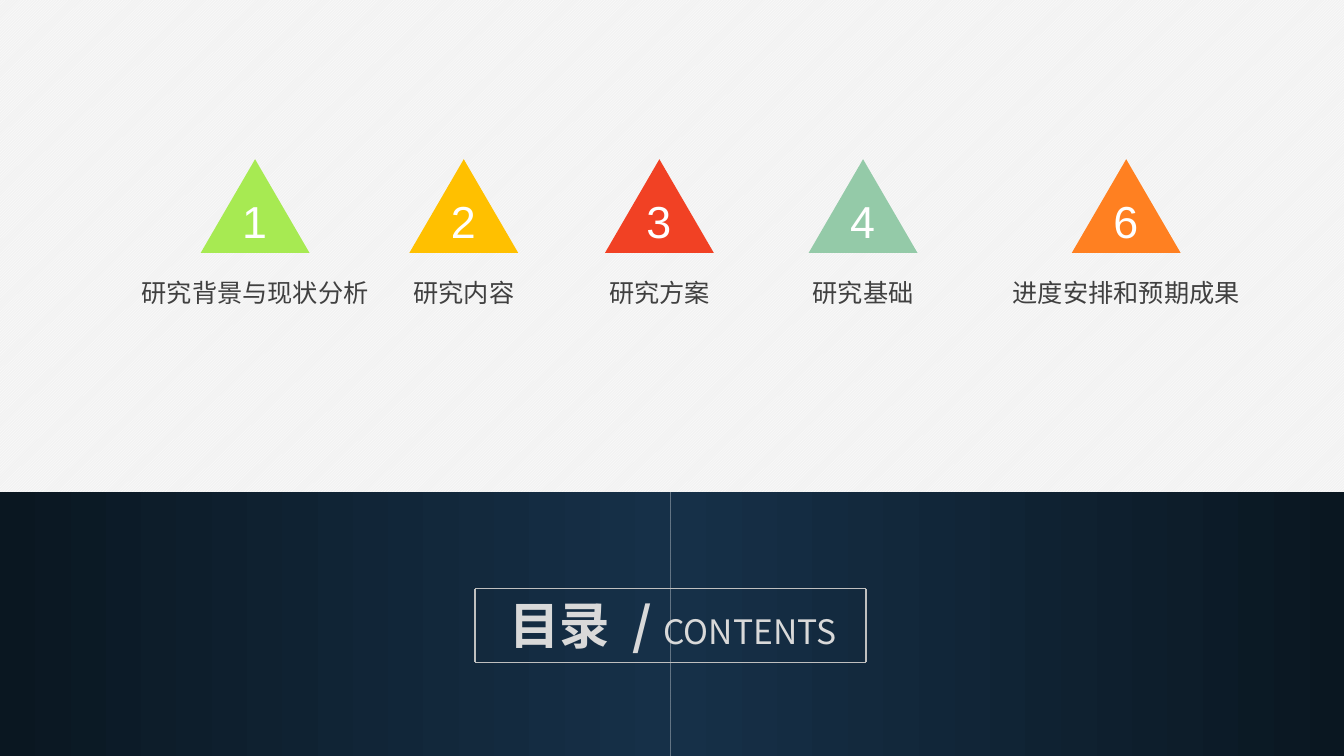
from dataclasses import dataclass

from lxml.etree import SubElement
from pptx import Presentation
from pptx.dml.color import RGBColor
from pptx.enum.dml import MSO_PATTERN
from pptx.enum.shapes import MSO_CONNECTOR, MSO_SHAPE
from pptx.enum.text import MSO_AUTO_SIZE, PP_ALIGN
from pptx.oxml.ns import qn
from pptx.util import Inches, Pt


@dataclass(frozen=True)
class Theme:
    paper: str = "F2F2F2"
    white: str = "FFFFFF"
    band_center: str = "163048"
    band_edge: str = "0A1721"
    label: str = "404040"
    heading: str = "D9D9D9"
    frame: str = "BFBFBF"
    label_size: int = 18
    number_size: int = 32
    heading_size: int = 36
    subheading_size: int = 24
    text_font: str = "Noto Sans CJK SC"
    number_font: str = "Arial"


THEME = Theme()
TOPICS = [
    ("1", "研究背景与现状分析", 2.53, 2.47, "A7EA52"),
    ("2", "研究内容", 4.6, 1.21, "FFC000"),
    ("3", "研究方案", 6.54, 1.21, "F14124"),
    ("4", "研究基础", 8.56, 1.21, "94CAA8"),
    ("6", "进度安排和预期成果", 11.17, 2.47, "FF8021"),
]
HEADING = [
    ("目录", THEME.heading_size, True, 0),
    (" ", THEME.heading_size, True, 8),
    ("/ ", THEME.heading_size, True, 0),
    ("CONTENTS", THEME.subheading_size, False, 0),
]


def color(value):
    return RGBColor.from_string(value)


def paint_background(page):
    fill = page.background.fill
    fill.patterned()
    fill.pattern = MSO_PATTERN.LIGHT_UPWARD_DIAGONAL
    fill.fore_color.rgb = color(THEME.white)
    fill.back_color.rgb = color(THEME.paper)


def add_plain_shape(shapes, kind, left, top, width, height):
    shape = shapes.add_shape(kind, Inches(left), Inches(top), Inches(width), Inches(height))
    shape.shadow.inherit = False
    shape.line.fill.background()
    return shape


def add_band(page, left, width, rotation):
    band = add_plain_shape(page.shapes, MSO_SHAPE.RECTANGLE, left, 4.88, width, 2.62)
    band.rotation = rotation
    band.fill.gradient()
    band.fill.gradient_angle = 0
    for stop, value in zip(band.fill.gradient_stops, (THEME.band_center, THEME.band_edge)):
        stop.color.rgb = color(value)


def add_text(shapes, left, top, width, height, font_name, text_color, wrap=False):
    box = shapes.add_textbox(Inches(left), Inches(top), Inches(width), Inches(height))
    frame = box.text_frame
    frame.word_wrap = wrap
    frame.auto_size = MSO_AUTO_SIZE.SHAPE_TO_FIT_TEXT
    para = frame.paragraphs[0]
    para.alignment = PP_ALIGN.CENTER
    para.font.name = font_name
    para.font.color.rgb = color(text_color)
    defaults = para._p.get_or_add_pPr().find(qn("a:defRPr"))
    SubElement(defaults, qn("a:ea"), typeface=font_name)
    return para


def add_topic(page, number, label, center, label_width, fill_color):
    group = page.shapes.add_group_shape()
    triangle = add_plain_shape(
        group.shapes, MSO_SHAPE.ISOSCELES_TRIANGLE, center - 0.54, 1.58, 1.08, 0.93)
    triangle.fill.solid()
    triangle.fill.fore_color.rgb = color(fill_color)
    para = add_text(group.shapes, center - 0.23, 1.87, 0.45, 0.64,
                    THEME.number_font, THEME.white)
    para.font.size = Pt(THEME.number_size)
    para.add_run().text = number

    para = add_text(page.shapes, center - label_width / 2, 2.7, label_width, 0.4,
                    THEME.text_font, THEME.label)
    para.font.size = Pt(THEME.label_size)
    para.add_run().text = label


def add_heading(page):
    para = add_text(page.shapes, 4.86, 5.84, 3.62, 0.71,
                    THEME.text_font, THEME.heading, wrap=True)
    for text, size, bold, spacing in HEADING:
        span = para.add_run()
        span.text = text
        span.font.size = Pt(size)
        span.font.bold = bold
        if spacing:
            span._r.get_or_add_rPr().set("spc", str(spacing * 100))


def add_frame(page, left, top, right, bottom):
    corners = [(left, top), (right, top), (right, bottom), (left, bottom)]
    for start, end in zip(corners, corners[1:] + corners[:1]):
        line = page.shapes.add_connector(
            MSO_CONNECTOR.STRAIGHT, *(Inches(value) for value in start + end))
        line.line.color.rgb = color(THEME.frame)
        line.line.width = Pt(1)
        SubElement(line._element.spPr, qn("a:effectLst"))


def main():
    deck = Presentation()
    deck.slide_width = Inches(13.33)
    deck.slide_height = Inches(7.5)
    page = deck.slides.add_slide(deck.slide_layouts[6])
    paint_background(page)
    add_band(page, 0, 6.65, 180)
    add_band(page, 6.65, 6.69, 0)
    for topic in TOPICS:
        add_topic(page, *topic)
    add_heading(page)
    add_frame(page, 4.71, 5.84, 8.59, 6.57)
    deck.save("out.pptx")


if __name__ == "__main__":
    main()
